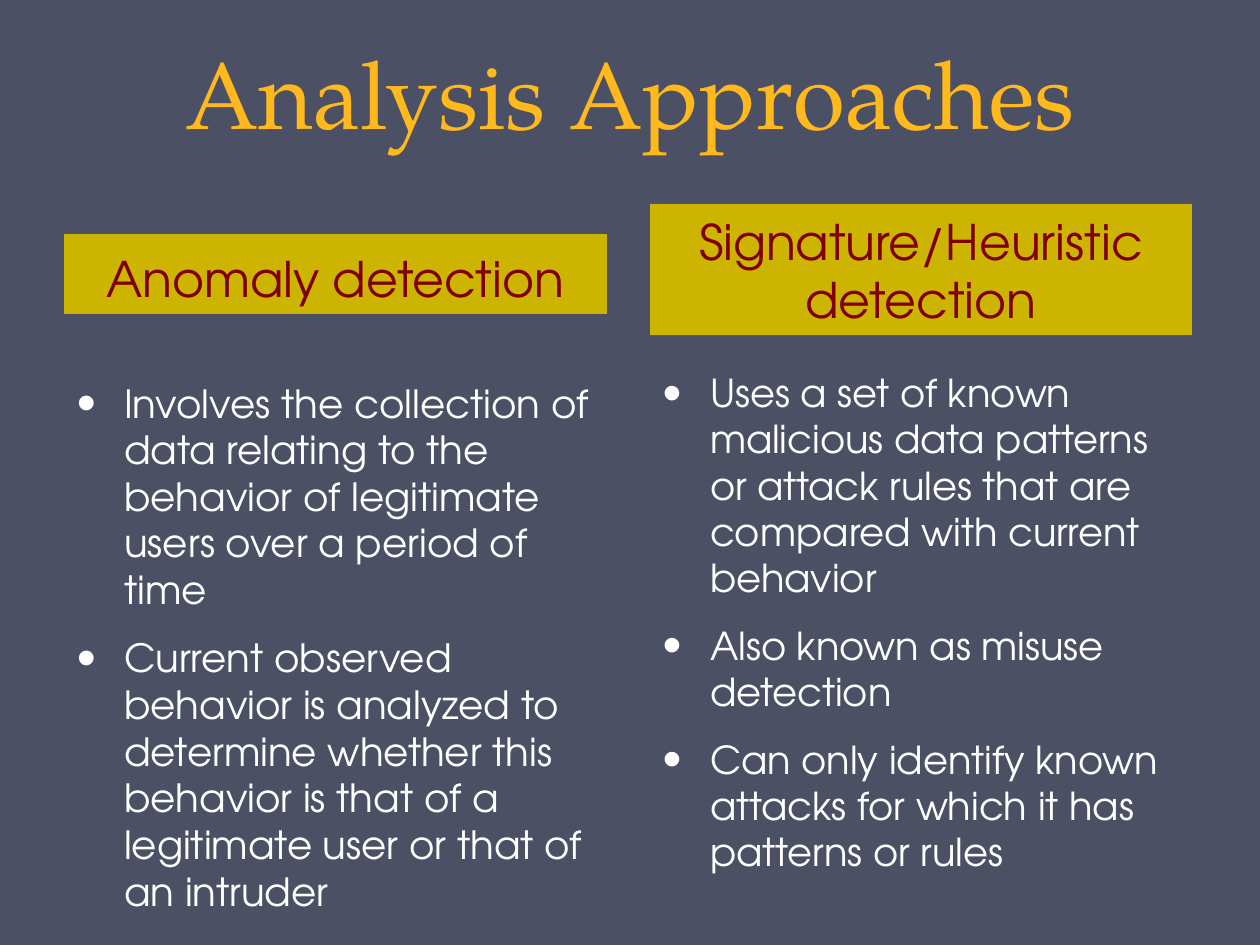
from lxml import etree
from pptx import Presentation
from pptx.dml.color import RGBColor
from pptx.enum import text
from pptx.oxml import ns
from pptx.util import Pt

COLORS = {
    "background": "4B5064",
    "title": "FFB91D",
    "panel": "CCB400",
    "heading": "800000",
    "body": "FFFFFF",
}
SANS = "TeX Gyre Adventor"
SERIF = "TeX Gyre Pagella"
COLUMN_WIDTH = 309.6
INDENT = 27

COLUMNS = [
    {
        "left": 36.7,
        "heading": "Anomaly detection",
        "heading_span": (133.9, 45.4),
        "outlined": True,
        "list_span": (213.1, 301.7),
        "size": 22.2,
        "items": [
            "Involves the collection of data relating to the behavior of "
            "legitimate users over a period of time",
            "Current observed behavior is analyzed to determine whether this "
            "behavior is that of a legitimate user or that of an intruder",
        ],
    },
    {
        "left": 371.5,
        "heading": "Signature/Heuristic detection",
        "heading_span": (116.6, 74.9),
        "outlined": False,
        "list_span": (207.4, 271.4),
        "size": 22,
        "items": [
            "Uses a set of known malicious data patterns or attack rules that "
            "are compared with current behavior",
            "Also known as misuse detection",
            "Can only identify known attacks for which it has patterns or rules",
        ],
    },
]


def color(name):
    return RGBColor.from_string(COLORS[name])


def apply(target, values):
    for name, value in values.items():
        setattr(target, name, value)


def place(shape, left, top, width, height, anchor):
    apply(shape, {"left": Pt(left), "top": Pt(top),
                  "width": Pt(width), "height": Pt(height)})
    apply(shape.text_frame, {"word_wrap": True, "vertical_anchor": anchor,
                             "auto_size": text.MSO_AUTO_SIZE.NONE})


def format_paragraph(paragraph, values, font, size, color_name):
    apply(paragraph, values)
    for run in paragraph.runs:
        apply(run.font, {"name": font, "size": Pt(size), "bold": False})
        run.font.color.rgb = color(color_name)


def add_bullet(paragraph):
    properties = paragraph._p.get_or_add_pPr()
    properties.set("marL", str(Pt(INDENT)))
    properties.set("indent", str(-Pt(INDENT)))
    for tag, name, value in (("a:buSzPct", "val", "140000"),
                             ("a:buFont", "typeface", "Arial"),
                             ("a:buChar", "char", "•")):
        etree.SubElement(properties, ns.qn(tag)).set(name, value)


def fill_title(shape):
    place(shape, 36, 0, 648, 88.6, text.MSO_ANCHOR.BOTTOM)
    shape.text_frame.text = "Analysis Approaches"
    values = {"alignment": text.PP_ALIGN.CENTER, "line_spacing": Pt(58)}
    format_paragraph(shape.text_frame.paragraphs[0], values, SERIF, 54, "title")


def fill_heading(shape, column):
    top, height = column["heading_span"]
    place(shape, column["left"], top, COLUMN_WIDTH, height, text.MSO_ANCHOR.BOTTOM)
    shape.fill.solid()
    shape.fill.fore_color.rgb = color("panel")
    if column["outlined"]:
        shape.line.color.rgb = color("panel")
        shape.line.width = Pt(0.75)
    shape.text_frame.text = column["heading"]
    values = {"alignment": text.PP_ALIGN.CENTER, "space_before": Pt(0)}
    format_paragraph(shape.text_frame.paragraphs[0], values, SANS, 28, "heading")


def fill_list(shape, column):
    top, height = column["list_span"]
    place(shape, column["left"], top, COLUMN_WIDTH, height, text.MSO_ANCHOR.TOP)
    shape.text_frame.text = "\n".join(column["items"])
    for index, paragraph in enumerate(shape.text_frame.paragraphs):
        add_bullet(paragraph)
        values = {"alignment": text.PP_ALIGN.LEFT, "space_after": Pt(8),
                  "space_before": Pt(4.4 if index else 0)}
        format_paragraph(paragraph, values, SANS, column["size"], "body")


def main():
    presentation = Presentation()
    apply(presentation, {"slide_width": Pt(720), "slide_height": Pt(540)})
    slide = presentation.slides.add_slide(presentation.slide_layouts[4])
    slide.background.fill.solid()
    slide.background.fill.fore_color.rgb = color("background")
    title, *bodies = slide.placeholders
    fill_title(title)
    for column, heading, bullets in zip(COLUMNS, bodies[::2], bodies[1::2]):
        fill_heading(heading, column)
        fill_list(bullets, column)
    presentation.save("out.pptx")


if __name__ == "__main__":
    main()
